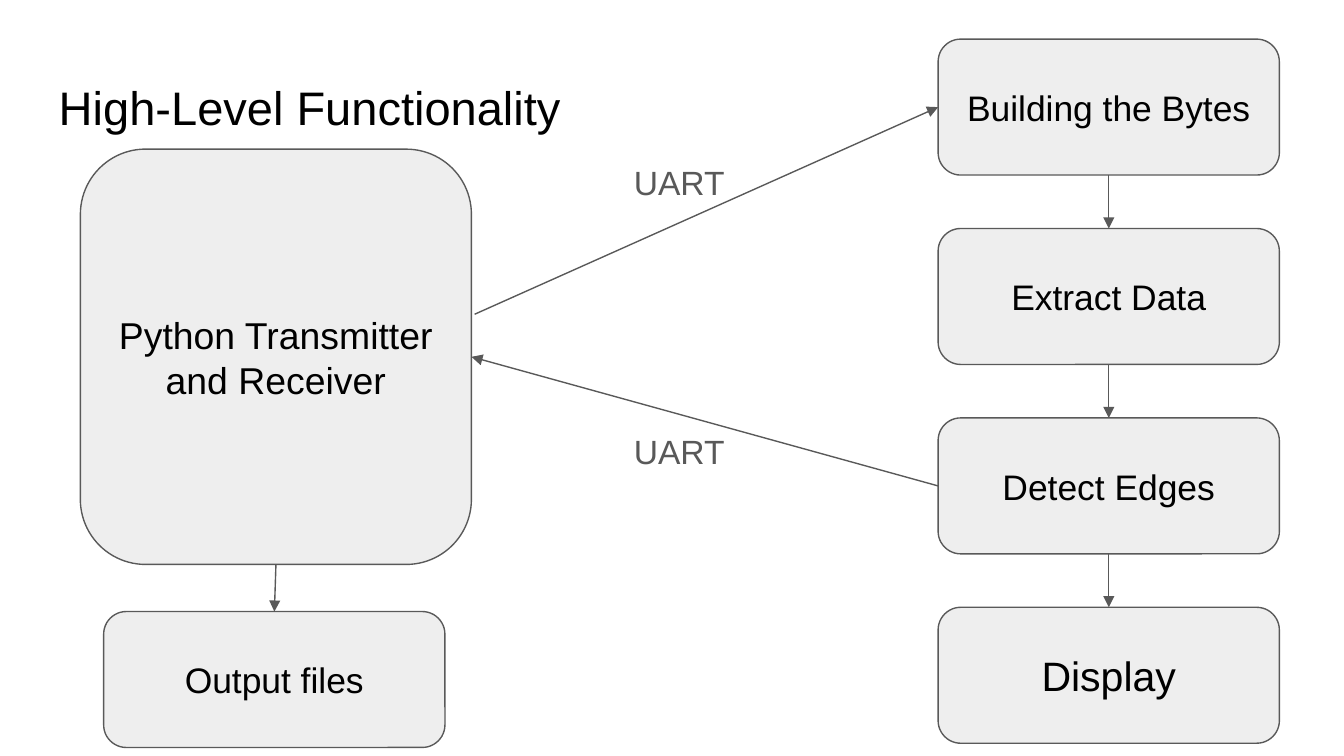
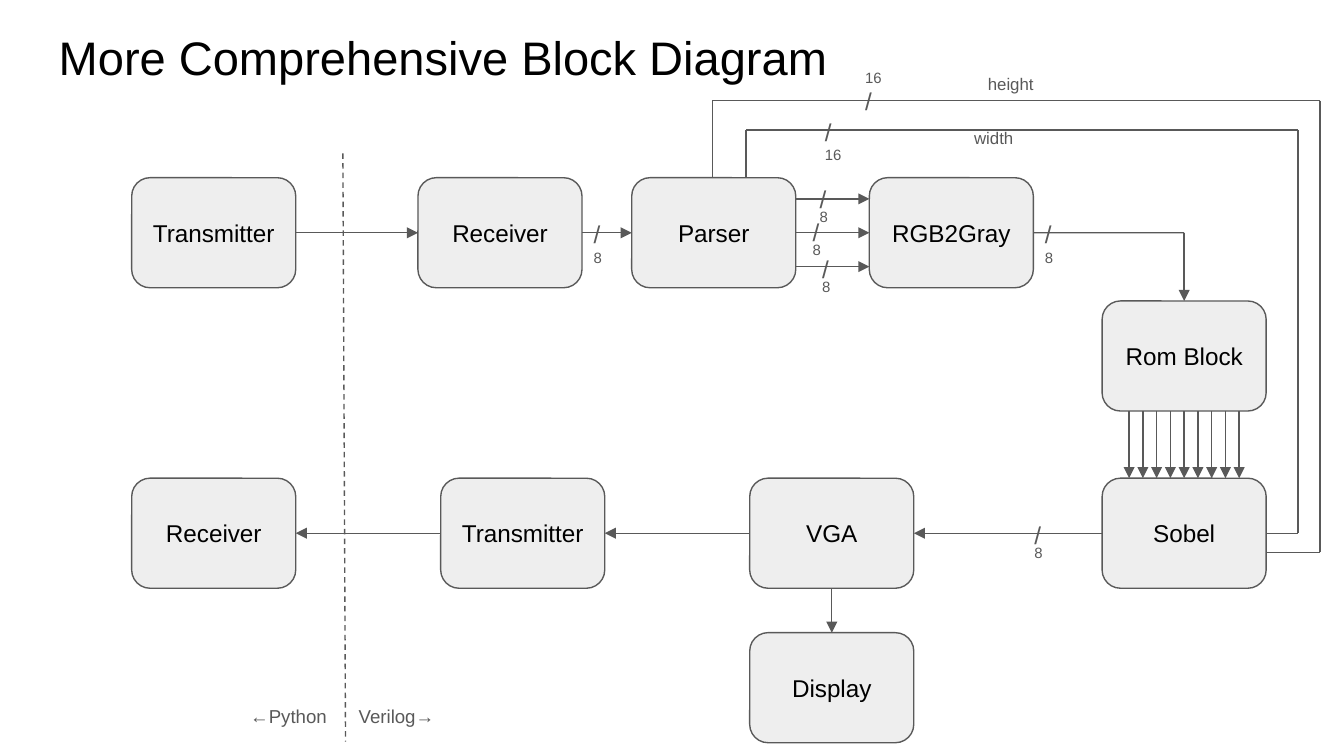
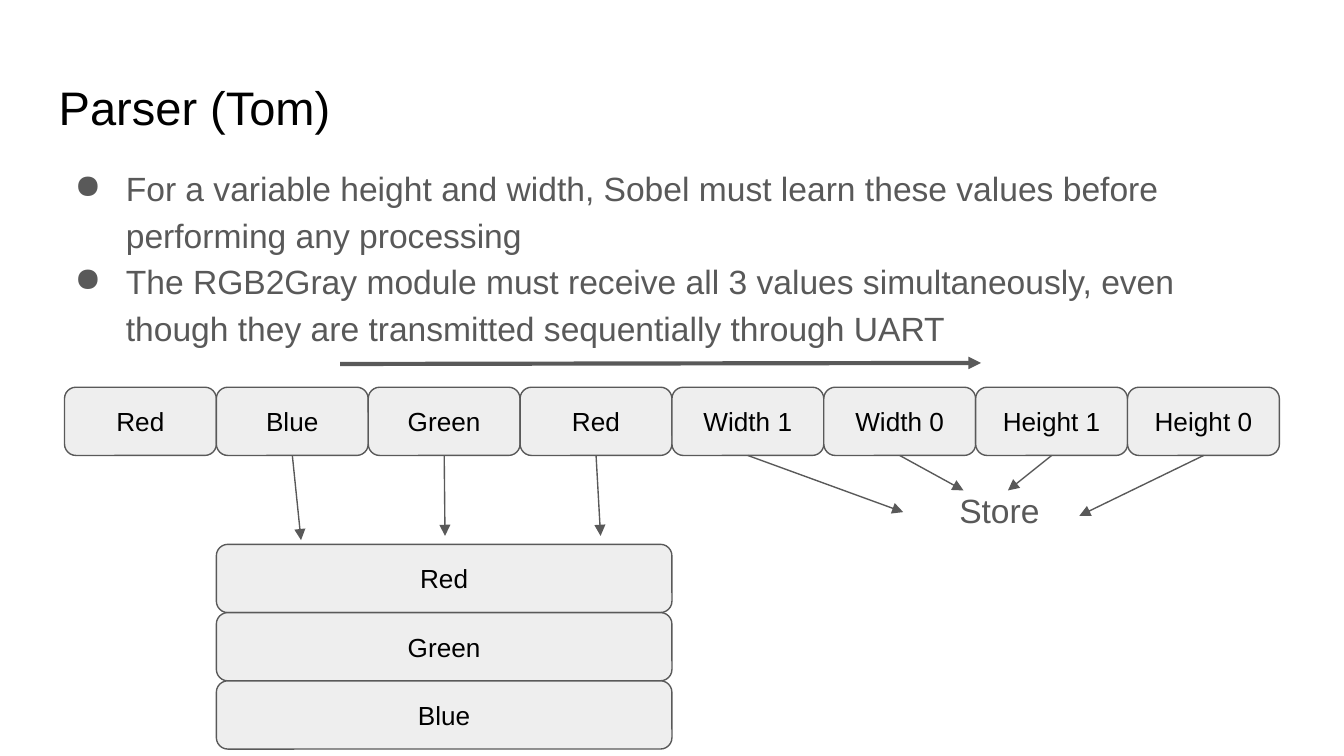
from itertools import pairwise

from lxml.etree import SubElement
from pptx import Presentation
from pptx.dml.color import RGBColor
from pptx.enum.dml import MSO_LINE
from pptx.enum.shapes import MSO_CONNECTOR, MSO_SHAPE
from pptx.enum.text import MSO_ANCHOR, MSO_AUTO_SIZE, PP_ALIGN
from pptx.oxml.ns import qn
from pptx.util import Cm, Pt

FONT = "Arial"
BLACK, GREY, PALE = "000000", "595959", "EEEEEE"
TITLE_LEFT, TITLE_WIDTH, TITLE_HEIGHT = 0.86, 23.67, 1.6
TOP, LEFT, BOTTOM, RIGHT = range(4)  # connection sites of a block


def rgb(colour):
    return RGBColor.from_string(colour)


def write_text(frame, lines, size=18, colour=GREY, align=PP_ALIGN.LEFT,
               anchor=MSO_ANCHOR.TOP, spacing=None, bullet=None):
    """Fill a text frame; a line is a string or a (string, size) pair."""
    frame.word_wrap = True
    frame.auto_size = MSO_AUTO_SIZE.NONE
    frame.vertical_anchor = anchor
    frame.margin_left = frame.margin_right = Cm(0.25)
    frame.margin_top = frame.margin_bottom = Cm(0.25)
    for index, line in enumerate(lines):
        text, points = line if isinstance(line, tuple) else (line, size)
        paragraph = frame.add_paragraph() if index else frame.paragraphs[0]
        paragraph.alignment = align
        if spacing:
            paragraph.line_spacing = spacing
        if bullet:
            add_bullet(paragraph, bullet)
        run = paragraph.add_run()
        run.text = text
        run.font.name = FONT
        run.font.size = Pt(points)
        run.font.color.rgb = rgb(colour)


def add_bullet(paragraph, character):
    properties = paragraph._p.get_or_add_pPr()
    properties.set("marL", str(Cm(1.27)))
    properties.set("indent", str(Cm(-0.97)))
    SubElement(properties, qn("a:buChar")).set("char", character)


def add_titled_slide(presentation, title, top):
    slide = presentation.slides.add_slide(presentation.slide_layouts[5])
    shape = slide.shapes.title
    shape.left, shape.top = Cm(TITLE_LEFT), Cm(top)
    shape.width, shape.height = Cm(TITLE_WIDTH), Cm(TITLE_HEIGHT)
    write_text(shape.text_frame, [title], size=25.2, colour=BLACK)
    return slide


def add_label(slide, lines, box, **text_format):
    shape = slide.shapes.add_textbox(*map(Cm, box))
    write_text(shape.text_frame, lines, **text_format)


def add_block(slide, text, box, size):
    shape = slide.shapes.add_shape(MSO_SHAPE.ROUNDED_RECTANGLE, *map(Cm, box))
    shape.shadow.inherit = False
    shape.fill.solid()
    shape.fill.fore_color.rgb = rgb(PALE)
    shape.line.color.rgb = rgb(GREY)
    shape.line.width = Pt(0.75)
    write_text(shape.text_frame, [text], size=size, colour=BLACK,
               align=PP_ALIGN.CENTER, anchor=MSO_ANCHOR.MIDDLE)
    return shape


def connect(slide, start, end, arrow=True, width=0.75, dashed=False):
    """Draw a line between two ends, each an (x, y) or a (block, site) pair."""
    joined_start = not isinstance(start[0], (int, float))
    joined_end = not isinstance(end[0], (int, float))
    start_point = (0, 0) if joined_start else start
    end_point = (0, 0) if joined_end else end
    connector = slide.shapes.add_connector(
        MSO_CONNECTOR.STRAIGHT, *map(Cm, (*start_point, *end_point)))
    if joined_start:
        connector.begin_connect(*start)
    if joined_end:
        connector.end_connect(*end)
    connector.line.color.rgb = rgb(GREY)
    connector.line.width = Pt(width)
    if dashed:
        connector.line.dash_style = MSO_LINE.DASH
    if arrow:
        SubElement(connector.line._get_or_add_ln(), qn("a:tailEnd")).set("type", "triangle")
    SubElement(connector._element.spPr, qn("a:effectLst"))


def route(slide, *ends, arrow=False):
    """Draw a bent line; only its last part may carry an arrowhead."""
    parts = list(pairwise(ends))
    for index, (start, end) in enumerate(parts):
        connect(slide, start, end, arrow=arrow and index == len(parts) - 1)


def edges(block):
    """Left, top, right and bottom of a block in centimetres."""
    left, top = block.left.cm, block.top.cm
    return left, top, left + block.width.cm, top + block.height.cm


# High-level functionality

def draw_host(slide, box):
    left, top, width, height = box
    host = add_block(slide, "Python Transmitter and Receiver", (left, top, width, 7.85), 20)
    output = add_block(slide, "Output files",
                       (left + 0.44, top + height - 2.57, 6.45, 2.57), 19)
    connect(slide, (host, BOTTOM), (output, TOP))
    return host


def draw_chain(slide, box):
    left, top, width, height = box
    steps = [("Building the Bytes", 19), ("Extract Data", 19),
             ("Detect Edges", 19), ("Display", 22)]
    block_height = 2.57
    pitch = (height - block_height) / (len(steps) - 1)
    blocks = [add_block(slide, text, (left, top + index * pitch, width, block_height), size)
              for index, (text, size) in enumerate(steps)]
    for upper, lower in pairwise(blocks):
        connect(slide, (upper, BOTTOM), (lower, TOP))
    return blocks


def build_functionality_slide(presentation):
    slide = add_titled_slide(presentation, "High-Level Functionality", 1.24)
    host = draw_host(slide, (1.52, 2.82, 7.39, 11.31))
    building, _, detect, _ = draw_chain(slide, (17.73, 0.74, 6.45, 13.31))
    connect(slide, (8.97, 5.94), (building, LEFT))
    connect(slide, (detect, LEFT), (host, RIGHT))
    for top in (2.82, 7.9):
        add_label(slide, ["UART"], (11.73, top, 2.49, 1.27))


# Block diagram

def draw_language_divider(slide, box):
    left, top, width, height = box
    middle, bottom = left + width / 2, top + height
    connect(slide, (middle - 0.05, top), (middle, bottom), arrow=False, dashed=True)
    for text, label_left in (("←Python", left), ("Verilog→", middle)):
        add_label(slide, [text], (label_left, bottom - 0.94, width / 2, 0.94), size=10)


def draw_pipeline(slide, box):
    """Place the blocks in two rows, with two more hung between and below."""
    left, top, width, height = box
    block_width, block_height = 3.1, 2.08
    right = left + width - block_width
    lower = top + 5.68
    places = {
        "sender": ("Transmitter", left, top),
        "receiver": ("Receiver", left + 5.41, top),
        "parser": ("Parser", left + 9.45, top),
        "gray": ("RGB2Gray", left + 13.94, top),
        "rom": ("Rom Block", right, top + 2.33),
        "sobel": ("Sobel", right, lower),
        "vga": ("VGA", left + 11.68, lower),
        "returner": ("Transmitter", left + 5.84, lower),
        "collector": ("Receiver", left, lower),
        "display": ("Display", left + 11.68, top + height - block_height),
    }
    return {key: add_block(slide, text, (x, y, block_width, block_height), 13)
            for key, (text, x, y) in places.items()}


def draw_wires(slide, blocks):
    for source, target in (("sender", "receiver"), ("receiver", "parser"), ("parser", "gray")):
        connect(slide, (blocks[source], RIGHT), (blocks[target], LEFT))
    for source, target in pairwise(("sobel", "vga", "returner", "collector")):
        connect(slide, (blocks[source], LEFT), (blocks[target], RIGHT))
    connect(slide, (blocks["vga"], BOTTOM), (blocks["display"], TOP))

    parser_left, parser_top, parser_right, parser_bottom = edges(blocks["parser"])
    gray_left = edges(blocks["gray"])[0]
    row_middle = (parser_top + parser_bottom) / 2
    for offset in (-0.64, 0.64):
        connect(slide, (parser_right, row_middle + offset), (gray_left, row_middle + offset))

    rom_left, _, rom_right, rom_bottom = edges(blocks["rom"])
    _, sobel_top, sobel_right, sobel_bottom = edges(blocks["sobel"])
    rom_middle = (rom_left + rom_right) / 2
    route(slide, (blocks["gray"], RIGHT), (rom_middle, row_middle),
          (blocks["rom"], TOP), arrow=True)
    connect(slide, (blocks["rom"], BOTTOM), (blocks["sobel"], TOP))
    for step in (-4, -3, -2, -1, 1, 2, 3, 4):
        x = rom_middle + step * 0.26
        connect(slide, (x, rom_bottom), (x, sobel_top))

    sobel_middle = (sobel_top + sobel_bottom) / 2
    for offset, rise, reach, end in (
            (1.52, 1.46, 1.02, (sobel_right, sobel_middle + 0.36)),
            (2.16, 0.9, 0.6, (blocks["sobel"], RIGHT))):
        x, y, far = parser_left + offset, parser_top - rise, sobel_right + reach
        end_y = sobel_middle + (0.36 if end[0] == sobel_right else 0)
        route(slide, (x, parser_top), (x, y), (far, y), (far, end_y), end)


def draw_bus_labels(slide, blocks):
    """Put each label at an offset from its block's top right corner."""
    eight = [("/", 13), ("8", 8)]
    for key, lines, x, y, spacing in (
            ("receiver", eight, -0.03, 0.53, 1),
            ("gray", eight, -0.03, 0.53, 1),
            ("parser", eight, 0.2, 0.02, 0.7),
            ("parser", eight, 0.07, 0.65, 0.7),
            ("parser", eight, 0.25, 1.34, 0.7),
            ("sobel", eight, -4.63, 0.69, 0.7),
            ("parser", [("16", 8), ("/", 13)], 1.06, -2.32, 1),
            ("parser", [("/", 13), ("16", 8)], 0.3, -1.4, 1),
            ("parser", [("height", 9)], 3.38, -2.22, 1),
            ("parser", [("width", 9)], 3.12, -1.2, 1)):
        _, top, right, _ = edges(blocks[key])
        width, height = (1.22, 1.42) if len(lines) == 2 else (2.5, 0.89)
        add_label(slide, lines, (right + x, top + y, width, height), spacing=spacing)


def build_diagram_slide(presentation):
    slide = add_titled_slide(presentation, "More Comprehensive Block Diagram", 0.28)
    draw_language_divider(slide, (4.48, 2.9, 4.1, 11.12))
    blocks = draw_pipeline(slide, (2.49, 3.36, 21.44, 10.68))
    draw_wires(slide, blocks)
    draw_bus_labels(slide, blocks)


# Parser

def draw_byte_row(slide, box):
    left, top, width, height = box
    names = ["Red", "Blue", "Green", "Red", "Width 1", "Width 0", "Height 1", "Height 0"]
    cell = width / len(names)
    connect(slide, (left + 5.21, top - 0.44), (left + 17.32, top - 0.46), width=2.25)
    return [add_block(slide, name, (left + index * cell, top, cell, height), 14)
            for index, name in enumerate(names)]


def draw_colour_stack(slide, box, sources):
    left, top, width, height = box
    names = ["Red", "Green", "Blue"]
    row = height / len(names)
    for index, name in enumerate(names):
        add_block(slide, name, (left, top + index * row, width, row), 14)
    for source, x, gap in zip(sources, (1.6, 4.32, 7.26), (0.08, 0.16, 0.16)):
        connect(slide, (source, BOTTOM), (left + x, top - gap))


def draw_store(slide, box, sources):
    left, top, width, height = box
    add_label(slide, ["Store"], box)
    tips = ((-0.81, 0.66), (0.33, 0.25), (1.17, 0.25), (2.52, 0.73))
    for source, (x, y) in zip(sources, tips):
        connect(slide, (source, BOTTOM), (left + x, top + y))


def build_parser_slide(presentation):
    slide = add_titled_slide(presentation, "Parser (Tom)", 1.24)
    add_label(slide, [
        "For a variable height and width, Sobel must learn these values before "
        "performing any processing",
        "The RGB2Gray module must receive all 3 values simultaneously, even though "
        "they are transmitted sequentially through UART",
    ], (TITLE_LEFT, 2.82, TITLE_WIDTH, 4.24), spacing=1.15, bullet="●")
    cells = draw_byte_row(slide, (1.22, 7.32, 22.96, 1.29))
    draw_colour_stack(slide, (4.09, 10.29, 8.61, 3.87), cells[1:4])
    draw_store(slide, (17.88, 9.02, 2.51, 1.27), cells[4:])


def main():
    presentation = Presentation()
    presentation.slide_width, presentation.slide_height = Cm(25.4), Cm(14.29)
    build_functionality_slide(presentation)
    build_diagram_slide(presentation)
    build_parser_slide(presentation)
    presentation.save("out.pptx")


if __name__ == "__main__":
    main()
